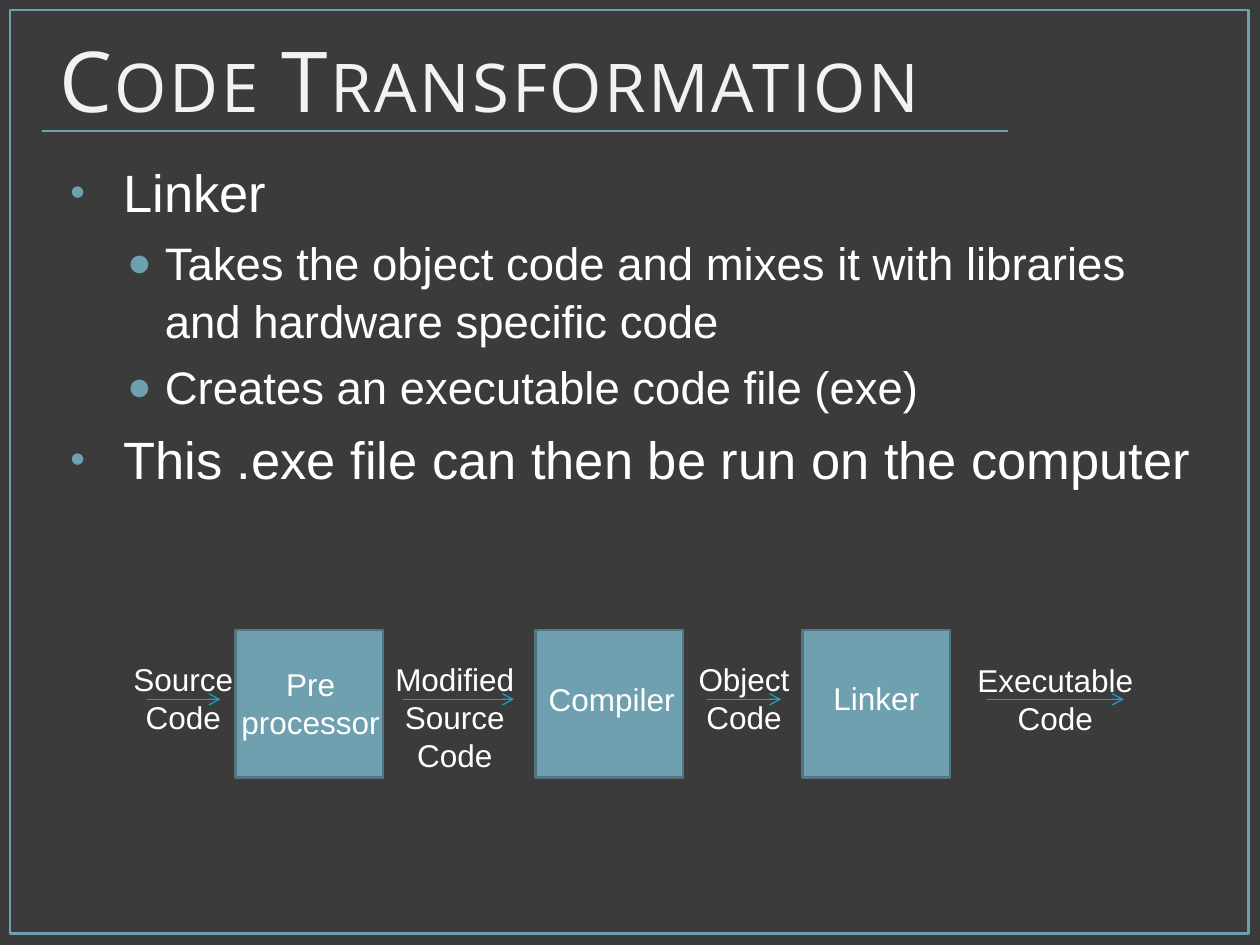
"""Build the Code Transformation slide."""
import pptx
import pptx.util
import pptx.dml.color
import pptx.enum.shapes
import pptx.enum.text
import pptx.oxml
import pptx.oxml.ns
from pptx.util import Inches, Pt

TEAL, WHITE = "6EA0B0", "FFFFFF"
TITLE = "Code Transformation"
LEVELS = [
    dict(size=30, margin=0.46, hang=0.42, bullet="•", scale=80),
    dict(size=26, margin=0.79, hang=0.30, bullet="●", scale=90),
]
POINTS = [
    (0, "Linker"),
    (1, "Takes the object code and mixes it with libraries and hardware specific code"),
    (1, "Creates an executable code file (exe)"),
    (0, "This .exe file can then be run on the computer"),
]
STAGE_TOP, STAGE_SIZE, FLOW_Y = 5, 1.17, 5.55
STAGES = [1.87, 4.25, 6.37]
FLOWS = [(1.17, 1.75), (3.2, 4.08), (5.61, 6.2), (7.83, 8.92)]
LABELS = [
    ("Source\nCode", 0.92, 5.19, 1.07, 0.71),
    ("Pre\nprocessor", 1.81, 5.23, 1.31, 0.71),
    ("Modified\nSource\nCode", 3.03, 5.19, 1.16, 1.01),
    ("Compiler", 4.25, 5.35, 1.21, 0.4),
    ("Object\nCode", 5.44, 5.19, 0.93, 0.71),
    ("Linker", 6.51, 5.34, 0.89, 0.4),
    ("Executable\nCode", 7.65, 5.2, 1.45, 0.71),
]


def color(value):
    return pptx.dml.color.RGBColor.from_string(value)


def add_xml(parent, tag, **attributes):
    element = pptx.oxml.parse_xml(f"<a:{tag} {pptx.oxml.ns.nsdecls('a')}/>")
    for key, value in attributes.items():
        element.set(key, str(value))
    parent.append(element)
    return element


def set_font(paragraph, name, size, value):
    paragraph.font.name = name
    paragraph.font.size = Pt(size)
    paragraph.font.color.rgb = color(value)


def add_text(left, top, width, height, wrap=True):
    box = slide.shapes.add_textbox(Inches(left), Inches(top), Inches(width), Inches(height))
    box.text_frame.word_wrap = wrap
    return box.text_frame


def add_box(left, top, width, height, line, fill=None):
    box = slide.shapes.add_shape(
        pptx.enum.shapes.MSO_SHAPE.RECTANGLE,
        Inches(left), Inches(top), Inches(width), Inches(height))
    box.shadow.inherit = False
    if fill:
        box.fill.solid()
        box.fill.fore_color.rgb = color(fill)
    else:
        box.fill.background()
    box.line.color.rgb = color(line)
    box.line.width = Pt(1.5)


def add_line(start, end, y, value, arrow=False):
    line = slide.shapes.add_connector(
        pptx.enum.shapes.MSO_CONNECTOR.STRAIGHT, Inches(start), Inches(y), Inches(end), Inches(y))
    line.line.color.rgb = color(value)
    line.line.width = Pt(0.75)
    if arrow:
        add_xml(line.line._get_or_add_ln(), "tailEnd", type="arrow")
    add_xml(line._element.spPr, "effectLst")


deck = pptx.Presentation()
deck.slide_width, deck.slide_height = Inches(10), Inches(7.5)
slide = deck.slides.add_slide(deck.slide_layouts[6])
slide.background.fill.solid()
slide.background.fill.fore_color.rgb = color("3B3B3B")

add_box(0.08, 0.08, 9.83, 7.33, TEAL)
add_line(0.33, 8, 1.04, TEAL)

title = add_text(0.42, 0, 8.17, 1.25)
title.vertical_anchor = pptx.enum.text.MSO_ANCHOR.MIDDLE
title.margin_left = title.margin_right = Inches(0.05)
heading = title.paragraphs[0]
heading.text = TITLE
set_font(heading, "Open Sans", 48, "F2F2F2")
heading_style = heading.runs[0].font._element
heading_style.set("cap", "small")
heading_style.set("spc", "150")

body = add_text(0.42, 1.2, 9.17, 5.97)
for index, (depth, point) in enumerate(POINTS):
    level = LEVELS[depth]
    paragraph = body.add_paragraph() if index else body.paragraphs[0]
    paragraph.text = point
    paragraph.level = depth
    paragraph.line_spacing = 1.05
    paragraph.space_before = Pt(level["size"] * 0.2)
    properties = paragraph._element.get_or_add_pPr()
    properties.set("marL", str(Inches(level["margin"])))
    properties.set("indent", str(-Inches(level["hang"])))
    add_xml(add_xml(properties, "buClr"), "srgbClr", val=TEAL)
    add_xml(properties, "buSzPct", val=level["scale"] * 1000)
    add_xml(properties, "buFont", typeface="Arial")
    add_xml(properties, "buChar", char=level["bullet"])
    set_font(paragraph, "Arial", level["size"], WHITE)

for left in STAGES:
    add_box(left, STAGE_TOP, STAGE_SIZE, STAGE_SIZE, "517682", TEAL)
for start, end in FLOWS:
    add_line(start, end, FLOW_Y, "239BC2", arrow=True)
for label, *place in LABELS:
    caption = add_text(*place, wrap=False).paragraphs[0]
    caption.text = label
    caption.alignment = pptx.enum.text.PP_ALIGN.CENTER
    set_font(caption, "Arial", 18, WHITE)

deck.save("out.pptx")
